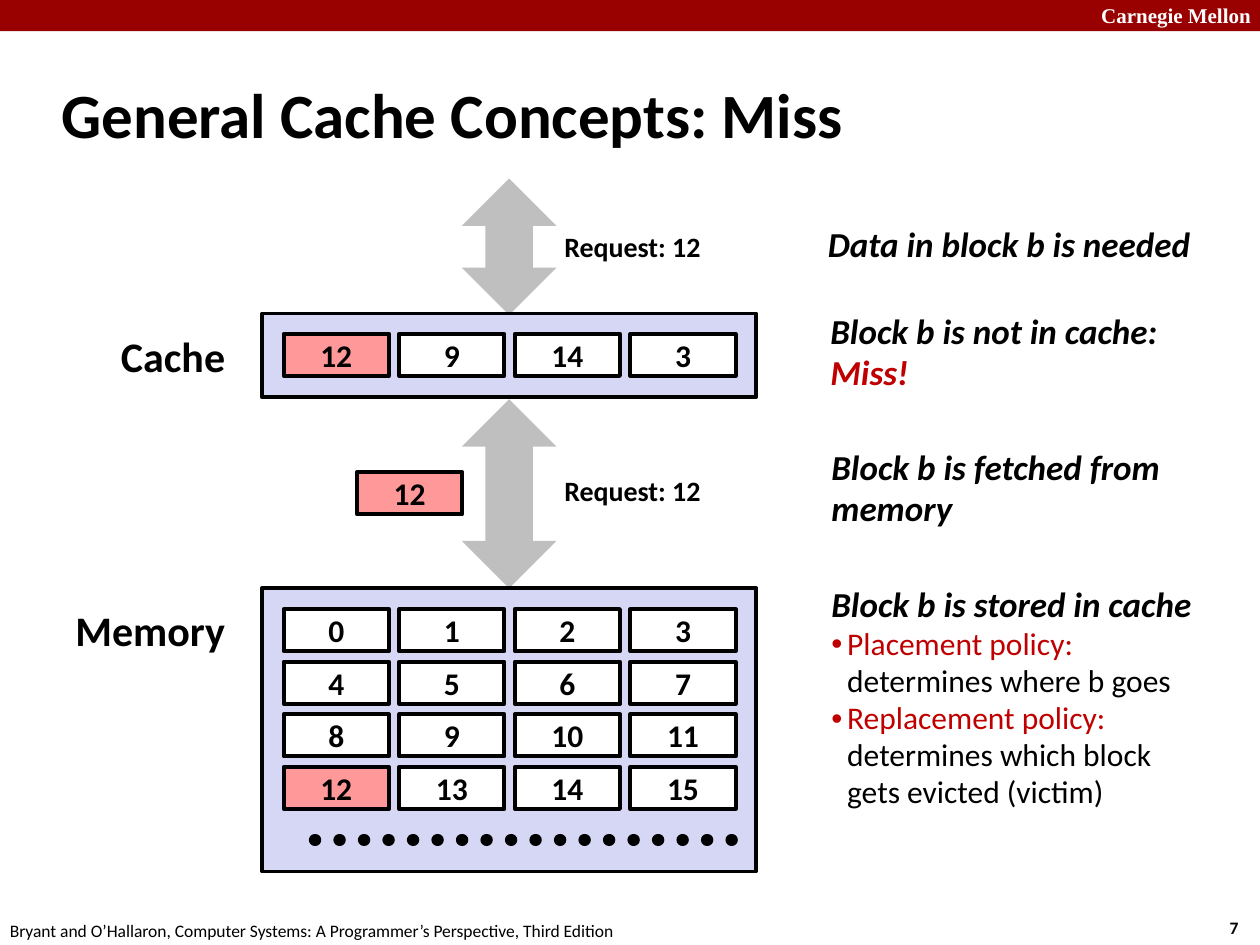
from lxml.etree import SubElement
from pptx import Presentation
from pptx.dml.color import RGBColor
from pptx.enum.dml import MSO_LINE
from pptx.enum.shapes import MSO_CONNECTOR, MSO_SHAPE
from pptx.enum.text import MSO_ANCHOR, PP_ALIGN
from pptx.oxml.ns import qn
from pptx.util import Cm, Pt

BLACK = RGBColor(0x00, 0x00, 0x00)
WHITE = RGBColor(0xFF, 0xFF, 0xFF)
CRIMSON = RGBColor(0x99, 0x00, 0x00)
RED = RGBColor(0xC0, 0x00, 0x00)
GRAY = RGBColor(0xBF, 0xBF, 0xBF)
LAVENDER = RGBColor(0xD6, 0xD6, 0xF5)
PINK = RGBColor(0xFF, 0x99, 0x99)

BLOCK_W, BLOCK_H = 2.12, 0.85
PITCH_X, PITCH_Y = 2.33, 1.06
GRID_X, CACHE_Y, MEMORY_Y = 5.72, 6.73, 12.28


def style_run(r, size, color=BLACK, bold=True, italic=False, name="Calibri"):
    font = r.font
    font.size, font.name = Pt(size), name
    font.bold, font.italic = bold, italic
    font.color.rgb = color


def add_solid(slide, kind, x, y, w, h, fill, outlined=False):
    sp = slide.shapes.add_shape(kind, Cm(x), Cm(y), Cm(w), Cm(h))
    sp.shadow.inherit = False
    sp.fill.solid()
    sp.fill.fore_color.rgb = fill
    if outlined:
        sp.line.color.rgb = BLACK
        sp.line.width = Pt(2.25)
    else:
        sp.line.fill.background()
    return sp


def add_block(slide, x, y, number, fill=WHITE):
    sp = add_solid(slide, MSO_SHAPE.RECTANGLE, x, y, BLOCK_W, BLOCK_H, fill, True)
    tf = sp.text_frame
    tf.text = str(number)
    tf.vertical_anchor = MSO_ANCHOR.MIDDLE
    p = tf.paragraphs[0]
    p.alignment = PP_ALIGN.CENTER
    style_run(p.runs[0], 18)


def add_blocks(slide, top, numbers):
    for i, number in enumerate(numbers):
        row, col = divmod(i, 4)
        fill = PINK if number == 12 else WHITE
        add_block(slide, GRID_X + col * PITCH_X, top + row * PITCH_Y, number, fill)


def add_label(slide, x, y, w, h, text, size, align=PP_ALIGN.LEFT,
              anchor=MSO_ANCHOR.TOP, wrap=False, **style):
    tf = slide.shapes.add_textbox(Cm(x), Cm(y), Cm(w), Cm(h)).text_frame
    tf.word_wrap = wrap
    tf.vertical_anchor = anchor
    tf.text = text
    for p in tf.paragraphs:
        p.alignment = align
        for r in p.runs:
            style_run(r, size, **style)
    return tf


def add_step(slide, x, y, w, h, text):
    tf = add_label(slide, x, y, w, h, text, 20, anchor=MSO_ANCHOR.MIDDLE, italic=True)
    for p in tf.paragraphs:
        p.line_spacing = 0.98
    return tf


def add_policy(tf, text):
    p = tf.add_paragraph()
    p.text = text
    p.line_spacing = 0.98
    pPr = p._p.get_or_add_pPr()
    pPr.set("marL", str(Cm(0.32)))
    pPr.set("indent", str(-Cm(0.32)))
    SubElement(pPr, qn("a:buFont"), typeface="Arial")
    SubElement(pPr, qn("a:buChar"), char="•")
    for i, r in enumerate(p.runs):
        style_run(r, 18, BLACK if i else RED, bold=False)


def add_dots(slide, x1, x2, y):
    c = slide.shapes.add_connector(MSO_CONNECTOR.STRAIGHT, Cm(x1), Cm(y), Cm(x2), Cm(y))
    c.line.color.rgb = BLACK
    c.line.width = Pt(7)
    c.line.dash_style = MSO_LINE.ROUND_DOT
    spPr = c._element.spPr
    spPr.find(qn("a:ln")).set("cap", "rnd")
    SubElement(spPr, qn("a:effectLst"))


def add_frame(slide):
    add_solid(slide, MSO_SHAPE.RECTANGLE, 0, 0, 25.4, 0.63, CRIMSON)
    add_label(slide, 21.95, -0.08, 3.63, 0.76, "Carnegie Mellon", 12, wrap=True,
              color=WHITE, name="Times New Roman")
    add_label(slide, 24.54, 18.36, 0.94, 0.69, "7", 10)
    add_label(slide, -0.05, 18.42, 12.9, 0.69,
              "Bryant and O’Hallaron, Computer Systems: A Programmer’s Perspective, "
              "Third Edition", 10, bold=False)
    add_label(slide, 0.99, 1.24, 21.08, 2.11, "General Cache Concepts: Miss", 36,
              anchor=MSO_ANCHOR.MIDDLE, wrap=True)


def add_diagram(slide):
    for y, h in ((3.6, 2.75), (8.05, 3.81)):
        add_solid(slide, MSO_SHAPE.UP_DOWN_ARROW, 9.31, y, 1.91, h, GRAY)
    for y, h in ((11.85, 5.72), (6.32, 1.69)):
        add_solid(slide, MSO_SHAPE.RECTANGLE, 5.29, y, 9.95, h, LAVENDER, True)
    add_blocks(slide, MEMORY_Y, range(16))
    add_blocks(slide, CACHE_Y, (12, 9, 14, 3))
    add_block(slide, 7.2, 9.52, 12, PINK)
    add_dots(slide, 6.35, 14.82, 16.93)
    add_label(slide, 2.19, 6.53, 2.64, 1.27, "Cache", 24)
    add_label(slide, 1.27, 12.07, 3.56, 1.27, "Memory", 24)
    for y in (4.5, 9.42):
        add_label(slide, 11.1, y, 3.3, 0.94, "Request: 12", 16, PP_ALIGN.CENTER)


def add_steps(slide):
    add_step(slide, 16.44, 4.39, 7.85, 1.09, "Data in block b is needed")
    miss = add_step(slide, 16.49, 6.15, 7.14, 1.93, "Block b is not in cache:\nMiss!")
    miss.paragraphs[1].runs[0].font.color.rgb = RED
    add_step(slide, 16.51, 8.89, 7.19, 1.93, "Block b is fetched from\nmemory")
    stored = add_step(slide, 16.51, 11.63, 7.8, 4.88, "Block b is stored in cache")
    add_policy(stored, "Placement policy:\vdetermines where b goes")
    add_policy(stored, "Replacement policy:\vdetermines which block\vgets evicted (victim)")


def main():
    prs = Presentation()
    prs.slide_width, prs.slide_height = Cm(25.4), Cm(19.05)
    slide = prs.slides.add_slide(prs.slide_layouts[6])
    add_frame(slide)
    add_diagram(slide)
    add_steps(slide)
    prs.save("out.pptx")


if __name__ == "__main__":
    main()
